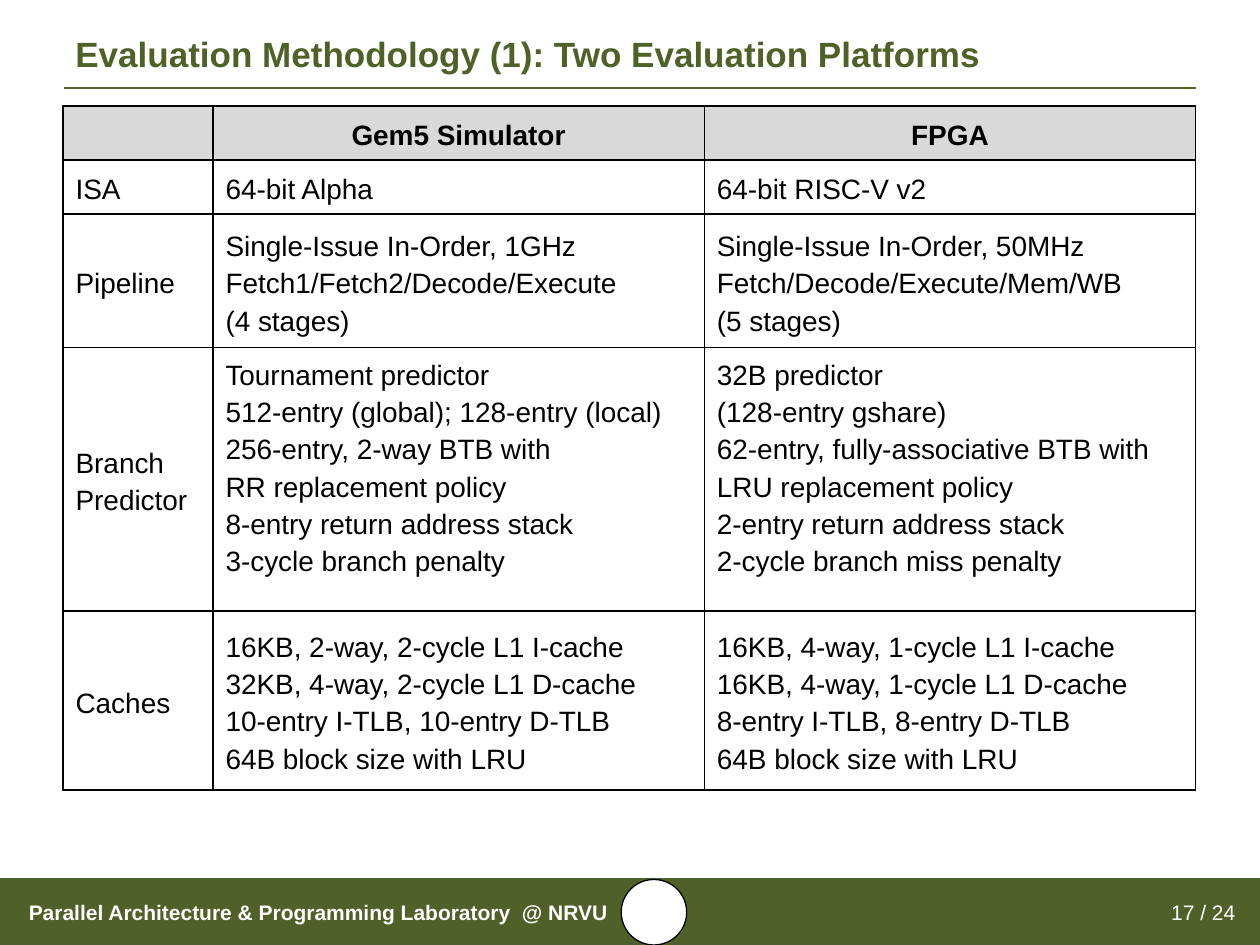
from dataclasses import dataclass

from lxml.etree import SubElement
from pptx import Presentation
from pptx.dml.color import RGBColor
from pptx.enum.shapes import MSO_CONNECTOR, MSO_SHAPE
from pptx.enum.text import MSO_ANCHOR, PP_ALIGN
from pptx.oxml.ns import qn
from pptx.slide import Slide
from pptx.table import _Cell
from pptx.text.text import TextFrame
from pptx.util import Inches, Pt


@dataclass(frozen=True)
class Theme:
    font: str = "Arial"
    green: RGBColor = RGBColor(0x4F, 0x61, 0x28)
    title: RGBColor = RGBColor(0x4E, 0x61, 0x27)
    header: RGBColor = RGBColor(0xD9, 0xD9, 0xD9)
    white: RGBColor = RGBColor(0xFF, 0xFF, 0xFF)
    black: RGBColor = RGBColor(0, 0, 0)
    title_size: int = 20
    table_size: int = 16
    footer_size: int = 12


@dataclass(frozen=True)
class Style:
    size: int
    color: RGBColor
    bold: bool = False
    align: PP_ALIGN = PP_ALIGN.LEFT
    spacing: float = 1.0


@dataclass(frozen=True)
class Box:
    left: float
    top: float
    width: float
    height: float

    def lengths(self) -> list[Inches]:
        return [Inches(v) for v in (self.left, self.top, self.width, self.height)]


@dataclass(frozen=True)
class Label:
    text: str
    box: Box
    style: Style


@dataclass(frozen=True)
class Row:
    height: float
    cells: tuple[str, str, str]
    anchor: MSO_ANCHOR = MSO_ANCHOR.MIDDLE


THEME = Theme()
HEADER = Style(THEME.table_size, THEME.black, True, PP_ALIGN.CENTER, 1.2)
BODY = Style(THEME.table_size, THEME.black, spacing=1.2)

LABELS = [
    Label("Evaluation Methodology (1): Two Evaluation Platforms",
          Box(0.5, 0.2, 9, 0.49),
          Style(THEME.title_size, THEME.title, True, spacing=0.9)),
    Label("Parallel Architecture & Programming Laboratory  @ NRVU",
          Box(0.13, 6.98, 5.42, 0.52),
          Style(THEME.footer_size, THEME.white, True)),
    Label("17 / 24", Box(9.17, 6.98, 0.76, 0.52),
          Style(THEME.footer_size, THEME.white, align=PP_ALIGN.CENTER)),
]

COLUMN_WIDTHS = (1.19, 3.9, 3.9)
ROWS = [
    Row(0.43, ("", "Gem5 Simulator", "FPGA")),
    Row(0.43, ("ISA", "64-bit Alpha", "64-bit RISC-V v2")),
    Row(0.99, (
        "Pipeline",
        "Single-Issue In-Order, 1GHz\nFetch1/Fetch2/Decode/Execute\n(4 stages)",
        "Single-Issue In-Order, 50MHz\nFetch/Decode/Execute/Mem/WB\n(5 stages)",
    )),
    Row(2.09, (
        "Branch Predictor",
        "Tournament predictor\n512-entry (global); 128-entry (local)\n"
        "256-entry, 2-way BTB with\nRR replacement policy\n"
        "8-entry return address stack\n3-cycle branch penalty",
        "32B predictor\n(128-entry gshare)\n"
        "62-entry, fully-associative BTB with\nLRU replacement policy\n"
        "2-entry return address stack\n2-cycle branch miss penalty",
    ), MSO_ANCHOR.TOP),
    Row(1.42, (
        "Caches",
        "16KB, 2-way, 2-cycle L1 I-cache\n32KB, 4-way, 2-cycle L1 D-cache\n"
        "10-entry I-TLB, 10-entry D-TLB\n64B block size with LRU",
        "16KB, 4-way, 1-cycle L1 I-cache\n16KB, 4-way, 1-cycle L1 D-cache\n"
        "8-entry I-TLB, 8-entry D-TLB\n64B block size with LRU",
    )),
]


def write_text(frame: TextFrame, text: str, style: Style) -> None:
    frame.text = text
    for paragraph in frame.paragraphs:
        paragraph.alignment = style.align
        paragraph.line_spacing = style.spacing
        font = paragraph.font
        font.name = THEME.font
        font.size = Pt(style.size)
        font.bold = style.bold
        font.color.rgb = style.color


def add_label(slide: Slide, label: Label) -> None:
    frame = slide.shapes.add_textbox(*label.box.lengths()).text_frame
    frame.word_wrap = True
    frame.vertical_anchor = MSO_ANCHOR.MIDDLE
    write_text(frame, label.text, label.style)


def add_filled_shape(slide: Slide, kind: MSO_SHAPE, box: Box,
                     fill: RGBColor, outlined: bool = False) -> None:
    shape = slide.shapes.add_shape(kind, *box.lengths())
    shape.shadow.inherit = False
    shape.fill.solid()
    shape.fill.fore_color.rgb = fill
    if outlined:
        shape.line.color.rgb = THEME.black
        shape.line.width = Pt(0.75)
    else:
        shape.line.fill.background()


def add_title_rule(slide: Slide) -> None:
    rule = slide.shapes.add_connector(
        MSO_CONNECTOR.STRAIGHT, Inches(0.51), Inches(0.7), Inches(9.49), Inches(0.7))
    rule.line.color.rgb = THEME.green
    rule.line.width = Pt(1)
    SubElement(rule._element.spPr, qn("a:effectLst"))


def style_cell(cell: _Cell, fill: RGBColor) -> None:
    properties = cell._tc.get_or_add_tcPr()
    for side in ("lnL", "lnR", "lnT", "lnB"):
        border = SubElement(properties, qn(f"a:{side}"), w=str(Pt(1)))
        solid = SubElement(border, qn("a:solidFill"))
        SubElement(solid, qn("a:srgbClr"), val=str(THEME.black))
    cell.fill.solid()
    cell.fill.fore_color.rgb = fill


def add_platform_table(slide: Slide) -> None:
    box = Box(0.5, 0.84, sum(COLUMN_WIDTHS), sum(row.height for row in ROWS))
    table = slide.shapes.add_table(
        len(ROWS), len(COLUMN_WIDTHS), *box.lengths()).table
    table.horz_banding = False
    for column, width in zip(table.columns, COLUMN_WIDTHS):
        column.width = Inches(width)
    for row_index, row in enumerate(ROWS):
        table.rows[row_index].height = Inches(row.height)
        is_header = row_index == 0
        for column_index, text in enumerate(row.cells):
            cell = table.cell(row_index, column_index)
            style_cell(cell, THEME.header if is_header else THEME.white)
            cell.vertical_anchor = row.anchor if column_index else MSO_ANCHOR.MIDDLE
            write_text(cell.text_frame, text, HEADER if is_header else BODY)


def main() -> None:
    presentation = Presentation()
    presentation.slide_width = Inches(10)
    presentation.slide_height = Inches(7.5)
    slide = presentation.slides.add_slide(presentation.slide_layouts[6])
    add_filled_shape(slide, MSO_SHAPE.RECTANGLE, Box(0, 6.97, 10, 0.53), THEME.green)
    add_title_rule(slide)
    add_filled_shape(slide, MSO_SHAPE.OVAL, Box(4.93, 6.98, 0.52, 0.52),
                     THEME.white, outlined=True)
    for label in LABELS:
        add_label(slide, label)
    add_platform_table(slide)
    presentation.save("out.pptx")


if __name__ == "__main__":
    main()
